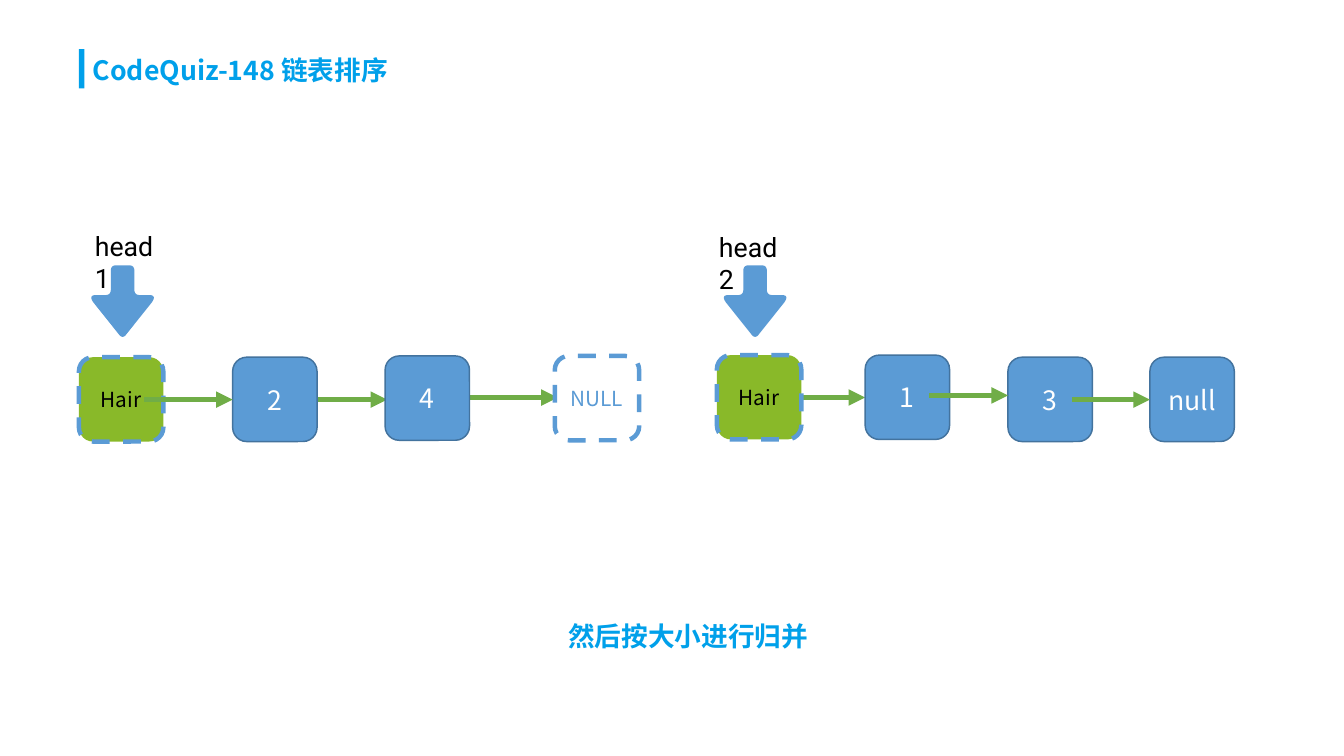
"""Build the slide on merging two sorted linked lists."""
from lxml import etree
from pptx import Presentation
from pptx.dml.color import RGBColor
from pptx.enum.dml import MSO_LINE
from pptx.enum.shapes import MSO_CONNECTOR, MSO_SHAPE
from pptx.enum.text import MSO_ANCHOR, PP_ALIGN
from pptx.oxml.ns import qn
from pptx.util import Cm, Pt

RECTANGLE, ROUNDED = MSO_SHAPE.RECTANGLE, MSO_SHAPE.ROUNDED_RECTANGLE
STRAIGHT, DASH = MSO_CONNECTOR.STRAIGHT, MSO_LINE.DASH
LEFT, CENTER = PP_ALIGN.LEFT, PP_ALIGN.CENTER
TOP, MIDDLE = MSO_ANCHOR.TOP, MSO_ANCHOR.MIDDLE

TITLE = ("CodeQuiz-148 链表排序", (1.96, 1.17, 15.98, 1.02))
TITLE_BAR = (1.88, 1.17, 0.13, 0.94)
CAPTION = ("然后按大小进行归并", (13.28, 14.63, 7.21, 1.02))

NODES = [
    ("Hair", "hair", 1.88, 8.51),
    ("2", "value", 5.54, 8.51),
    ("4", "value", 9.17, 8.48),
    ("NULL", "end", 13.21, 8.48),
    ("Hair", "hair", 17.07, 8.46),
    ("1", "value", 20.6, 8.46),
    ("3", "value", 24, 8.51),
    ("null", "value", 27.38, 8.51),
]
LINKS_BEHIND = [(7.54, 9.22, 9.52), (11.18, 13.28, 9.47), (18.49, 20.6, 9.47)]
LINKS_IN_FRONT = [(3.43, 5.54, 9.52), (22.12, 24, 9.42), (25.53, 27.38, 9.52)]
POINTERS = [("head1", 2.01, 5.36, 2.92), ("head2", 16.87, 5.38, 17.98)]
POINTER_TOP = 6.32
RIGHT_CORNERS = [
    ((0.15, 0), (0.28, 0), (0.28, 0.13)),
    ((0.28, 0.58), (0.28, 0.71), (0.41, 0.71)),
    ((0.58, 0.71), (0.84, 0.69), (0.69, 0.89)),
]
TIP = ((0.1, 1.63), (0, 1.78), (-0.1, 1.63))
NODE_SIZE = 2.01
CURVE_STEPS = 8

THEME = {
    "accent": "00A0EA",
    "blue": "5B9BD5",
    "link": "70AD47",
    "white": "FFFFFF",
    "east_asian": "Noto Sans CJK JP",
    "title": {"name": "Noto Sans CJK JP", "size": Pt(18), "bold": True, "color": "00A0EA"},
    "caption": {"name": "Arial", "size": Pt(18), "bold": True, "color": "00A0EA"},
    "pointer": {"name": "Roboto", "size": Pt(18), "color": "000000"},
    "value": {"name": "Noto Sans CJK JP", "size": Pt(18), "color": "FFFFFF"},
    "end": {"name": "Noto Sans CJK JP", "size": Pt(14), "color": "5B9BD5"},
    "hair": {"name": "Noto Sans CJK JP", "size": Pt(14), "color": "000000"},
}
NODE_STYLES = {
    "value": ("5B9BD5", "43739E", {"width": Pt(1)}),
    "end": ("FFFFFF", "5B9BD5", {"width": Pt(3), "dash_style": DASH}),
    "hair": ("89B929", "5B9BD5", {"width": Pt(3), "dash_style": DASH}),
}


def apply_format(target, values):
    for name, value in values.items():
        setattr(target, name, value)


def paint(shape, fill):
    shape.shadow.inherit = False
    shape.fill.solid()
    shape.fill.fore_color.rgb = RGBColor.from_string(fill)
    shape.line.fill.background()


def write(shape, text, style, alignment=LEFT, anchor=TOP):
    frame = shape.text_frame
    apply_format(frame, {"word_wrap": True, "vertical_anchor": anchor})
    paragraph = frame.paragraphs[0]
    paragraph.alignment = alignment
    run = paragraph.add_run()
    run.text = text
    values = dict(THEME[style])
    run.font.color.rgb = RGBColor.from_string(values.pop("color"))
    apply_format(run.font, values)
    east_asian = etree.SubElement(run.font._element, qn("a:ea"))
    east_asian.set("typeface", THEME["east_asian"])


def add_box(slide, kind, bounds, fill):
    shape = slide.shapes.add_shape(kind, *map(Cm, bounds))
    paint(shape, fill)
    return shape


def add_text(slide, text, bounds, style):
    write(slide.shapes.add_textbox(*map(Cm, bounds)), text, style)


def add_node(slide, label, style, left, top):
    fill, outline, line_format = NODE_STYLES[style]
    node = add_box(slide, ROUNDED, (left, top, NODE_SIZE, NODE_SIZE), fill)
    node.line.color.rgb = RGBColor.from_string(outline)
    apply_format(node.line, line_format)
    write(node, label, style, CENTER, MIDDLE)


def add_link(slide, start, end, height):
    link = slide.shapes.add_connector(STRAIGHT, Cm(start), Cm(height), Cm(end), Cm(height))
    link.line.color.rgb = RGBColor.from_string(THEME["link"])
    link.line.width = Pt(3.75)
    etree.SubElement(link.line._get_or_add_ln(), qn("a:tailEnd")).set("type", "triangle")
    etree.SubElement(link._element.spPr, qn("a:effectLst"))


def curve(start, control, end):
    for step in range(CURVE_STEPS + 1):
        t = step / CURVE_STEPS
        yield tuple(
            (1 - t) ** 2 * a + 2 * t * (1 - t) * b + t ** 2 * c
            for a, b, c in zip(start, control, end)
        )


def add_pointer(slide, label, left, top, center):
    mirrored = [
        tuple((-x, y) for x, y in reversed(corner)) for corner in reversed(RIGHT_CORNERS)
    ]
    points = [
        (Cm(center + x), Cm(POINTER_TOP + y))
        for corner in RIGHT_CORNERS + [TIP] + mirrored
        for x, y in curve(*corner)
    ]
    builder = slide.shapes.build_freeform(*points[0])
    builder.add_line_segments(points[1:], close=True)
    paint(builder.convert_to_shape(), THEME["blue"])
    add_text(slide, label, (left, top, 2.13, 1.02), "pointer")


def main():
    presentation = Presentation()
    apply_format(presentation, {"slide_width": Cm(32), "slide_height": Cm(18.01)})
    slide = presentation.slides.add_slide(presentation.slide_layouts[6])
    add_text(slide, *TITLE, "title")
    add_box(slide, RECTANGLE, TITLE_BAR, THEME["accent"])
    caption, bounds = CAPTION
    write(add_box(slide, RECTANGLE, bounds, THEME["white"]), caption, "caption", LEFT, MIDDLE)
    for link in LINKS_BEHIND:
        add_link(slide, *link)
    for node in NODES:
        add_node(slide, *node)
    for link in LINKS_IN_FRONT:
        add_link(slide, *link)
    for pointer in POINTERS:
        add_pointer(slide, *pointer)
    presentation.save("out.pptx")


if __name__ == "__main__":
    main()
